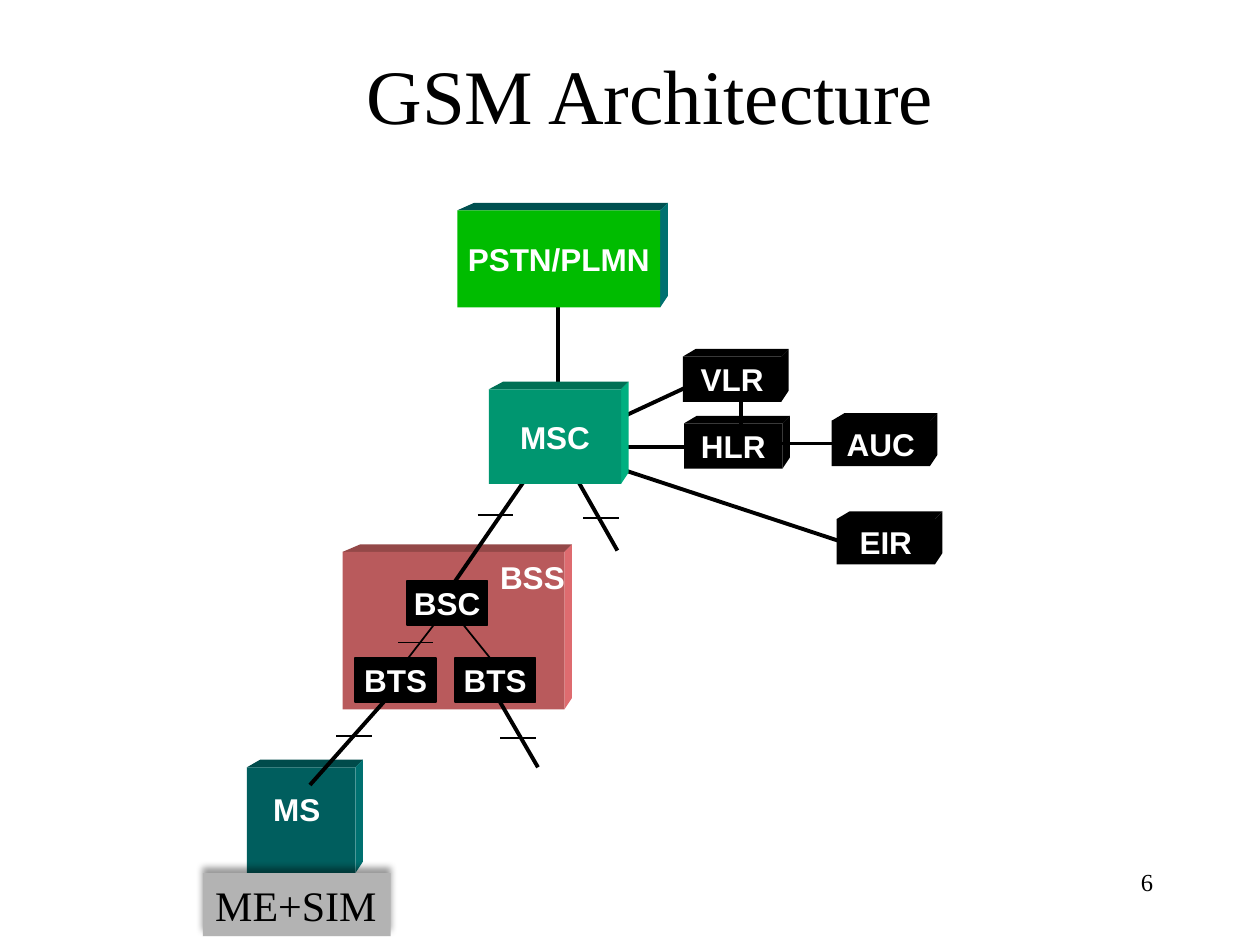
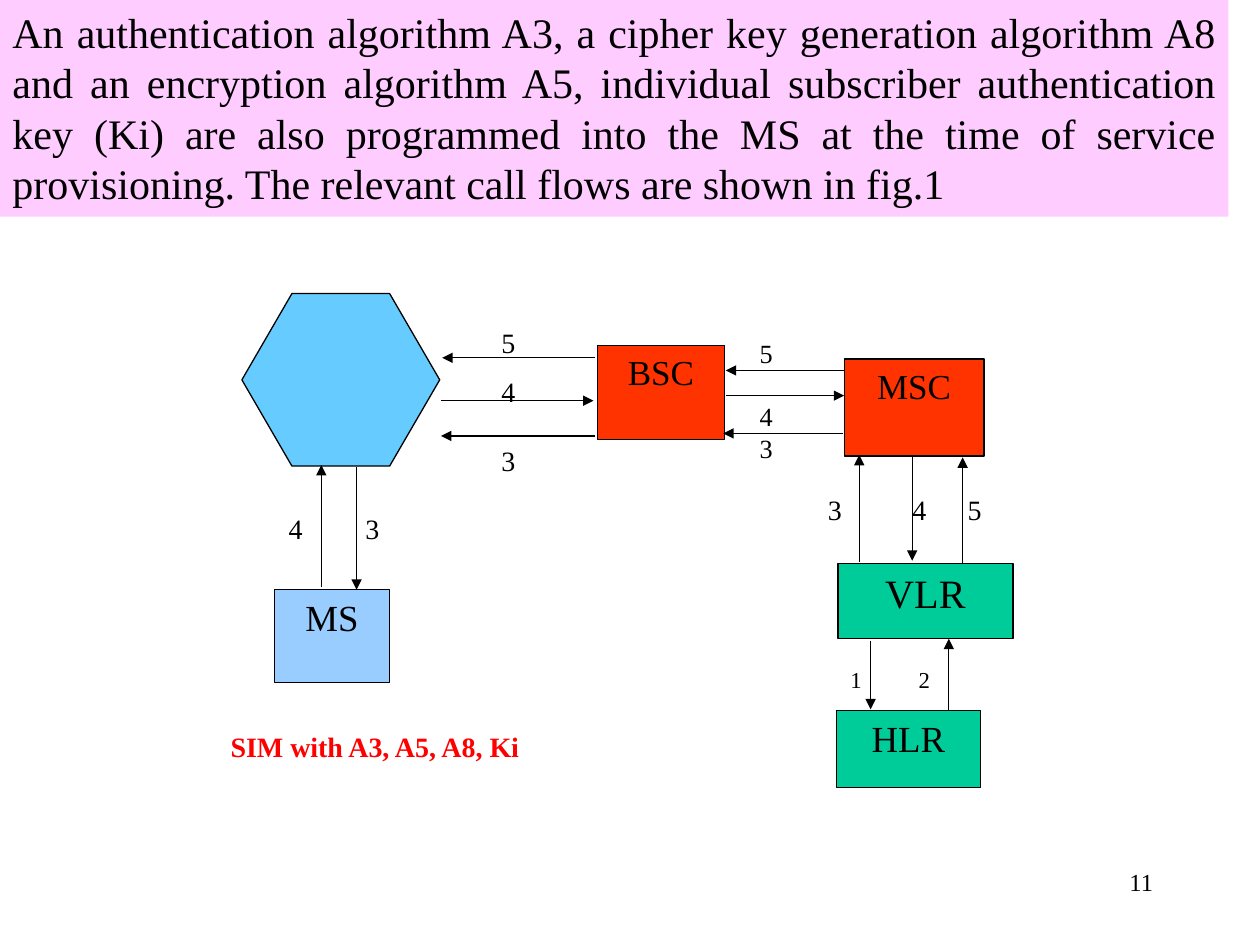
from dataclasses import dataclass
from typing import NamedTuple, Optional

from lxml.etree import SubElement
from pptx import Presentation
from pptx.dml.color import RGBColor
from pptx.enum.shapes import MSO_CONNECTOR, MSO_SHAPE
from pptx.enum.text import MSO_ANCHOR, PP_ALIGN
from pptx.oxml.ns import qn
from pptx.util import Inches, Pt


def rgb(code: str) -> RGBColor:
    return RGBColor.from_string(code)


class Faces(NamedTuple):
    """Colours of a solid block: front, top and right side."""
    front: RGBColor
    top: RGBColor
    side: RGBColor


@dataclass(frozen=True)
class Theme:
    serif: str = "Times New Roman"
    sans: str = "Arial"
    black: RGBColor = rgb("000000")
    white: RGBColor = rgb("FFFFFF")
    red: RGBColor = rgb("FF0000")
    grey: RGBColor = rgb("B3B3B3")
    pink: RGBColor = rgb("FFCCFF")
    sky: RGBColor = rgb("66CCFF")
    pale_blue: RGBColor = rgb("99CCFF")
    orange: RGBColor = rgb("FF3300")
    green: RGBColor = rgb("00CC99")
    network: Faces = Faces(rgb("00BC00"), rgb("005050"), rgb("007070"))
    switch: Faces = Faces(rgb("009670"), rgb("007055"), rgb("00B080"))
    station: Faces = Faces(rgb("B95A5C"), rgb("944848"), rgb("DE6B6F"))
    mobile: Faces = Faces(rgb("005E5E"), rgb("004B4B"), rgb("007070"))
    register: Faces = Faces(rgb("000000"), rgb("000000"), rgb("000000"))
    title_size: int = 44
    body_size: int = 24
    block_size: int = 18
    step_size: int = 16
    number_size: int = 14
    thick: float = 2.25
    thin: float = 1
    hairline: float = 0.75


THEME = Theme()


class Box(NamedTuple):
    left: float
    top: float
    width: float
    height: float

    def inches(self) -> list:
        return [Inches(value) for value in self]


class Line(NamedTuple):
    x1: float
    y1: float
    x2: float
    y2: float


@dataclass(frozen=True)
class Style:
    size: float = THEME.step_size
    font: str = THEME.serif
    color: RGBColor = THEME.black
    bold: bool = False
    align: PP_ALIGN = PP_ALIGN.LEFT
    anchor: MSO_ANCHOR = MSO_ANCHOR.TOP
    wrap: bool = True
    margins: tuple = (0.1, 0.05)


BLOCK_STYLE = Style(THEME.block_size, THEME.sans, THEME.white, True,
                    PP_ALIGN.CENTER, MSO_ANCHOR.MIDDLE, False)
BLOCK_LABEL = Style(THEME.block_size, THEME.sans, THEME.white, True, wrap=False)
FLOW_MARGINS = (0.08, 0.04)


@dataclass(frozen=True)
class Block:
    box: Box
    faces: Faces
    text: str = ""


@dataclass(frozen=True)
class Node:
    text: str
    box: Box
    fill: RGBColor
    size: float


@dataclass(frozen=True)
class Steps:
    """Step numbers: a row set at tab stops, or a column with gaps in points."""
    numbers: tuple
    box: Box
    size: float = THEME.step_size
    tabs: tuple = ()
    gaps: tuple = ()


def write(shape, lines, style: Style) -> list:
    frame = shape.text_frame
    frame.word_wrap = style.wrap
    frame.vertical_anchor = style.anchor
    frame.margin_left = frame.margin_right = Inches(style.margins[0])
    frame.margin_top = frame.margin_bottom = Inches(style.margins[1])
    frame.text = "\n".join(lines)
    for paragraph in frame.paragraphs:
        paragraph.alignment = style.align
        paragraph.font.size = Pt(style.size)
        paragraph.font.name = style.font
        paragraph.font.bold = style.bold
        paragraph.font.color.rgb = style.color
    return list(frame.paragraphs)


def add_label(slide, text: str, box: Box, style: Style):
    label = slide.shapes.add_textbox(*box.inches())
    write(label, [text], style)
    return label


def paint(shape, fill: RGBColor, outline: Optional[float] = None) -> None:
    shape.shadow.inherit = False
    shape.fill.solid()
    shape.fill.fore_color.rgb = fill
    if outline is None:
        shape.line.fill.background()
    else:
        shape.line.color.rgb = THEME.black
        shape.line.width = Pt(outline)


def add_box(slide, box: Box, fill: RGBColor, outline: Optional[float] = None,
            kind=MSO_SHAPE.RECTANGLE):
    shape = slide.shapes.add_shape(kind, *box.inches())
    paint(shape, fill, outline)
    return shape


def add_face(slide, points: list, fill: RGBColor) -> None:
    corners = [(Inches(x), Inches(y)) for x, y in points]
    builder = slide.shapes.build_freeform(*corners[0])
    builder.add_line_segments(corners[1:])
    paint(builder.convert_to_shape(), fill)


def add_block(slide, block: Block) -> None:
    """Draws a box whose top and right faces recede in perspective."""
    left, top, width, height = block.box
    right, bottom, depth = left + width, top + height, 0.06
    inset = 0.07 + 0.04 * width
    add_face(slide, [(left, top), (left + inset, top - depth),
                     (right + depth, top - depth), (right, top)], block.faces.top)
    add_face(slide, [(right, top), (right + depth, top - depth),
                     (right + depth, bottom - 0.09), (right, bottom)], block.faces.side)
    front = add_box(slide, block.box, block.faces.front)
    if block.text:
        write(front, [block.text], BLOCK_STYLE)


def add_line(slide, line: Line, width: float, arrow: bool = False) -> None:
    connector = slide.shapes.add_connector(
        MSO_CONNECTOR.STRAIGHT, *[Inches(value) for value in line])
    connector.line.color.rgb = THEME.black
    connector.line.width = Pt(width)
    if arrow:
        SubElement(connector.line._get_or_add_ln(), qn("a:tailEnd"), type="triangle")
    SubElement(connector._element.spPr, qn("a:effectLst"))


def add_steps(slide, steps: Steps) -> None:
    label = slide.shapes.add_textbox(*steps.box.inches())
    lines = ["\t".join(steps.numbers)] if steps.tabs else steps.numbers
    paragraphs = write(label, lines, Style(steps.size, margins=FLOW_MARGINS))
    for paragraph, gap in zip(paragraphs[1:], steps.gaps):
        paragraph.space_before = Pt(gap)
    if steps.tabs:
        properties = paragraphs[0]._p.get_or_add_pPr()
        stops = properties.makeelement(qn("a:tabLst"))
        for position in steps.tabs:
            SubElement(stops, qn("a:tab"), pos=str(Inches(position)), algn="l")
        properties.find(qn("a:defRPr")).addprevious(stops)


def add_upward_shadow(shape) -> None:
    effects = shape._element.spPr.find(qn("a:effectLst"))
    shadow = SubElement(effects, qn("a:outerShdw"), blurRad=str(Pt(4)),
                        dist=str(Pt(3)), dir=str(270 * 60000), rotWithShape="0")
    color = SubElement(shadow, qn("a:srgbClr"), val=str(THEME.black))
    SubElement(color, qn("a:alpha"), val="40000")


def add_number(slide, number: int) -> None:
    add_label(slide, str(number), Box(7.17, 6.83, 2.08, 0.5),
              Style(THEME.number_size, align=PP_ALIGN.RIGHT))


def build_architecture(presentation) -> None:
    slide = presentation.slides.add_slide(presentation.slide_layouts[5])
    title = slide.shapes.title
    title.left, title.top, title.width, title.height = Box(0.91, 0.12, 8.5, 1.25).inches()
    write(title, ["GSM Architecture"],
          Style(THEME.title_size, align=PP_ALIGN.CENTER, anchor=MSO_ANCHOR.MIDDLE))

    add_block(slide, Block(Box(2.72, 4.38, 1.76, 1.25), THEME.station))
    add_block(slide, Block(Box(1.96, 6.09, 0.86, 0.84), THEME.mobile))
    links = [
        Line(5.88, 3.13, 5.88, 3.44), Line(4.9, 4.37, 4.56, 3.77),
        Line(4.43, 3.06, 4.43, 2.37), Line(5.59, 3.55, 4.96, 3.55),
        Line(5.52, 3.04, 4.96, 3.3), Line(6.68, 4.3, 4.95, 3.73),
        Line(6.65, 3.52, 6.13, 3.52), Line(3.6, 4.63, 4.2, 3.76),
        Line(2.46, 6.23, 3.1, 5.51), Line(4.27, 6.09, 3.95, 5.54),
    ]
    for link in links:
        add_line(slide, link, THEME.thick)
    for link in (Line(3.18, 5.3, 3.52, 4.86), Line(3.92, 5.26, 3.63, 4.9)):
        add_line(slide, link, THEME.thin)
    interface_marks = [(2.67, 5.84), (3.97, 5.86), (3.79, 4.09), (4.63, 4.11), (3.16, 5.1)]
    for x, y in interface_marks:
        add_line(slide, Line(x, y, x + 0.28, y), THEME.thin)

    add_block(slide, Block(Box(3.88, 3.09, 1.05, 0.75), THEME.switch, "MSC"))
    registers = [("VLR", 5.42, 2.83), ("HLR", 5.43, 3.36), ("EIR", 6.64, 4.12), ("AUC", 6.6, 3.34)]
    for name, left, top in registers:
        add_block(slide, Block(Box(left, top, 0.78, 0.36), THEME.register, name))
    add_block(slide, Block(Box(3.63, 1.67, 1.61, 0.77), THEME.network, "PSTN/PLMN"))
    for name, left, top in [("BSC", 3.23, 4.61), ("BTS", 2.82, 5.22), ("BTS", 3.61, 5.22)]:
        unit = add_box(slide, Box(left, top, 0.64, 0.35), THEME.black, THEME.thin)
        write(unit, [name], BLOCK_STYLE)
    add_label(slide, "BSS", Box(3.87, 4.38, 0.72, 0.4), BLOCK_LABEL)
    add_label(slide, "MS", Box(2.07, 6.22, 0.58, 0.4), BLOCK_LABEL)

    equipment = add_box(slide, Box(1.61, 6.93, 1.49, 0.5), THEME.grey)
    add_upward_shadow(equipment)
    write(equipment, ["ME+SIM"], Style(THEME.body_size))
    add_number(slide, 6)


def build_call_flow(presentation) -> None:
    slide = presentation.slides.add_slide(presentation.slide_layouts[6])
    cell = add_box(slide, Box(1.92, 2.33, 1.57, 1.37), THEME.sky, THEME.hairline, MSO_SHAPE.HEXAGON)
    cell.adjustments[0] = 0.29
    nodes = [
        Node("BSC", Box(4.74, 2.74, 1.01, 0.75), THEME.orange, 20),
        Node("MSC", Box(6.7, 2.85, 1.11, 0.77), THEME.orange, 20),
        Node("MS", Box(2.18, 4.68, 0.91, 0.74), THEME.pale_blue, 21),
        Node("VLR", Box(6.65, 4.47, 1.39, 0.6), THEME.green, 23),
        Node("HLR", Box(6.64, 5.64, 1.14, 0.61), THEME.green, 21),
    ]
    for node in nodes:
        shape = add_box(slide, node.box, node.fill, THEME.hairline)
        write(shape, [node.text],
              Style(node.size, align=PP_ALIGN.CENTER, margins=FLOW_MARGINS))
    arrows = [
        Line(4.72, 2.84, 3.51, 2.84), Line(3.5, 3.18, 4.71, 3.18), Line(4.72, 3.46, 3.5, 3.46),
        Line(6.7, 2.94, 5.76, 2.94), Line(5.76, 3.14, 6.7, 3.14), Line(6.69, 3.44, 5.74, 3.44),
        Line(6.82, 4.46, 6.82, 3.61), Line(7.24, 3.61, 7.24, 4.45), Line(7.64, 4.48, 7.64, 3.63),
        Line(6.91, 5.09, 6.91, 5.63), Line(7.53, 5.64, 7.53, 5.07),
        Line(2.55, 4.66, 2.55, 3.69), Line(2.83, 3.71, 2.83, 4.68),
    ]
    for arrow in arrows:
        add_line(slide, arrow, THEME.hairline, arrow=True)
    step_groups = [
        Steps(("5", "4", "3"), Box(3.9, 2.54, 0.57, 1.61), gaps=(9, 20)),
        Steps(("5", "4", "3"), Box(5.95, 2.64, 0.57, 1.61), 15, gaps=(18, 0)),
        Steps(("3", "4", "5"), Box(6.49, 3.87, 1.55, 0.38), tabs=(0.67, 1.11)),
        Steps(("1", "2"), Box(6.67, 5.24, 0.9, 0.4), 13, tabs=(0.54,)),
        Steps(("4", "3"), Box(2.21, 4.02, 1.22, 0.48), tabs=(0.61,)),
    ]
    for steps in step_groups:
        add_steps(slide, steps)
    add_label(slide, "SIM with A3, A5, A8, Ki", Box(1.75, 5.75, 2.58, 0.42),
              Style(color=THEME.red, bold=True, margins=FLOW_MARGINS))

    banner = add_box(slide, Box(0, 0, 9.75, 1.72), THEME.pink)
    introduction = (
        "An authentication algorithm A3, a cipher key generation algorithm A8 and an "
        "encryption algorithm A5, individual subscriber authentication key (Ki) are also "
        "programmed into the MS at the time of service provisioning. The relevant call "
        "flows are shown in fig.1")
    paragraph = write(banner, [introduction], Style(THEME.body_size, align=PP_ALIGN.JUSTIFY))[0]
    paragraph.line_spacing = Pt(28.8)
    add_number(slide, 11)


def main() -> None:
    presentation = Presentation()
    presentation.slide_width, presentation.slide_height = Inches(10), Inches(7.5)
    build_architecture(presentation)
    build_call_flow(presentation)
    presentation.save("out.pptx")


if __name__ == "__main__":
    main()
